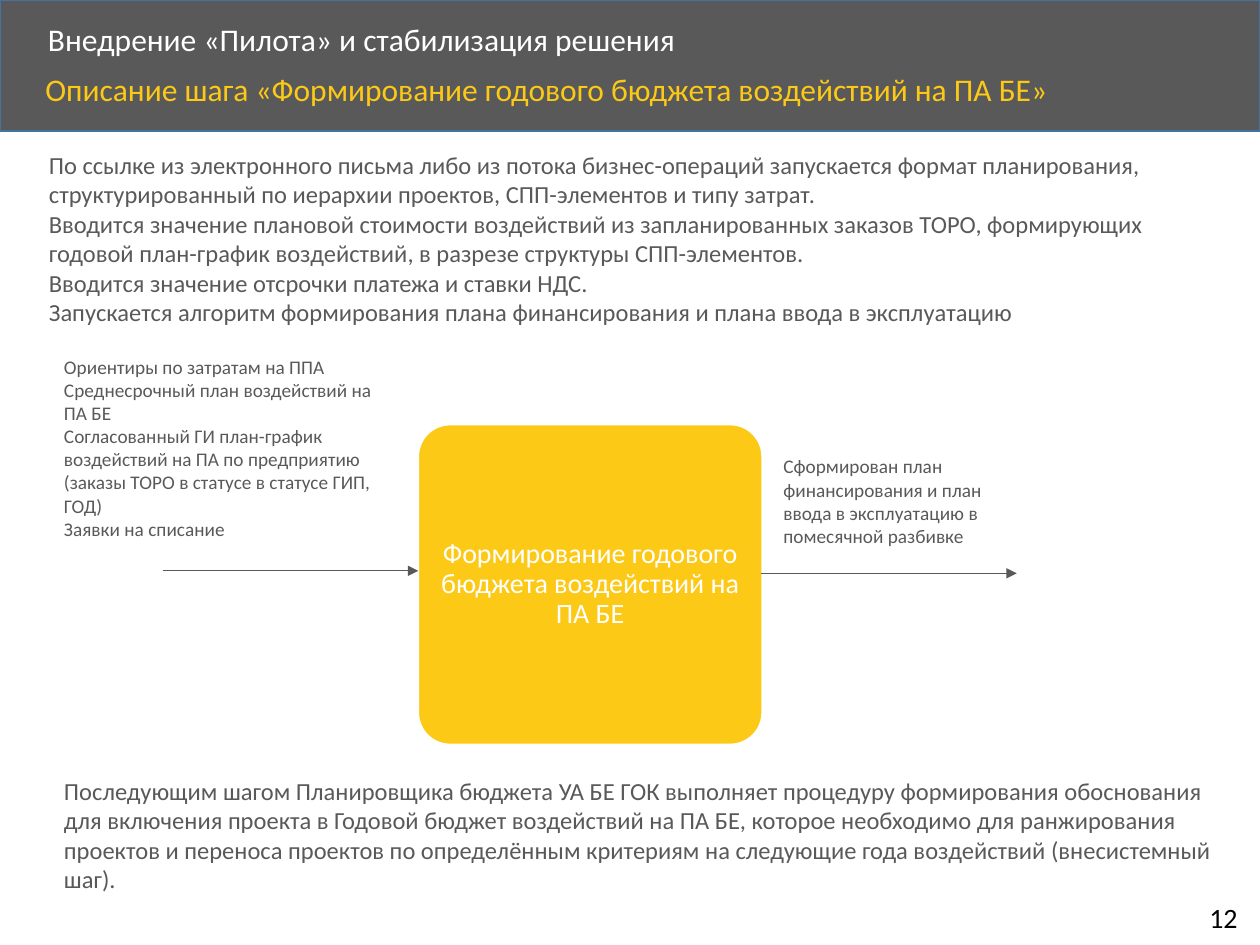
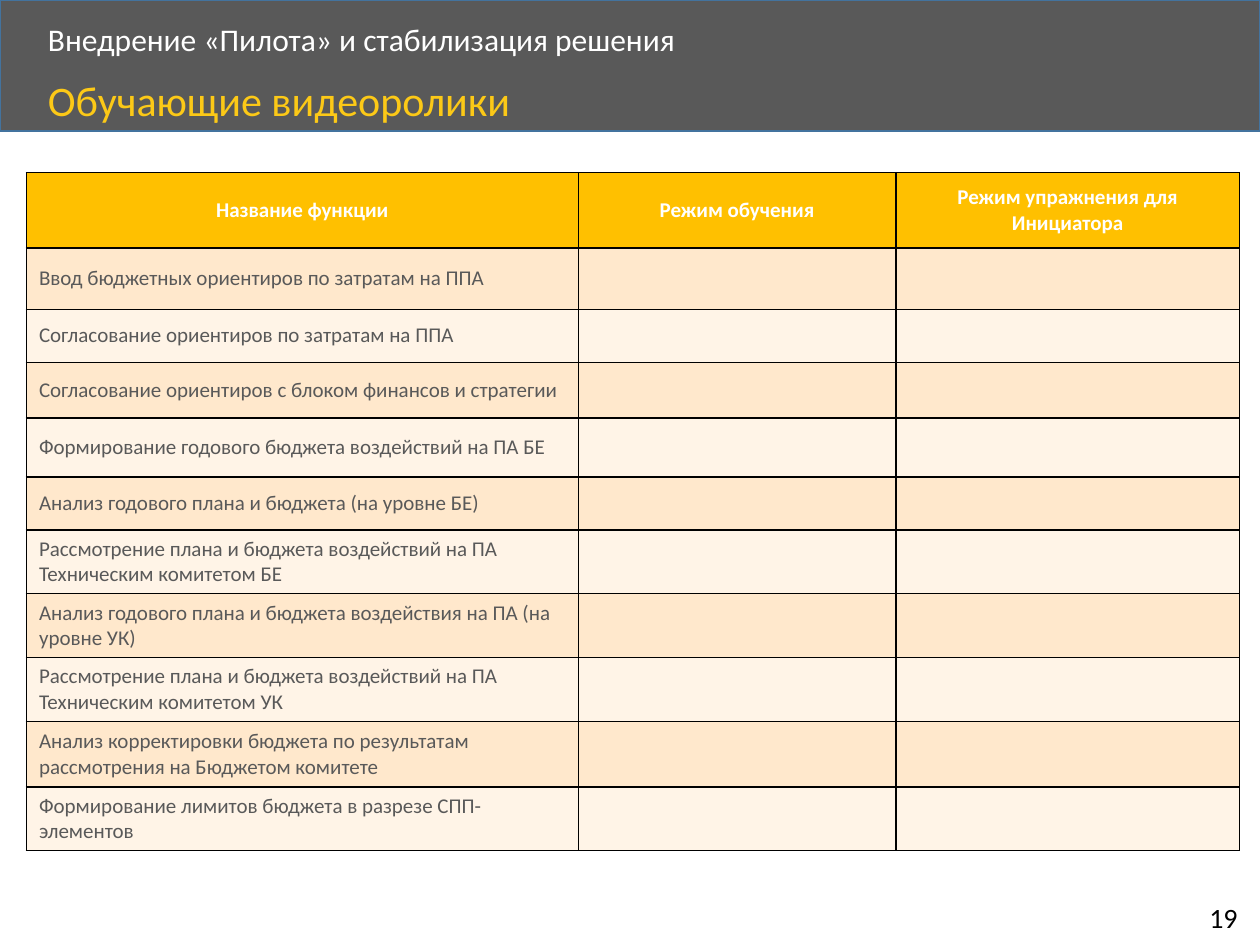
"""Build two slides on the annual budget step and the training videos."""
import pptx
import pptx.util
import pptx.dml.color
import pptx.enum.shapes
import pptx.enum.text
import pptx.oxml.ns
from lxml import etree

Pt = pptx.util.Pt
RGB = pptx.dml.color.RGBColor
SHAPE = pptx.enum.shapes.MSO_SHAPE
ALIGN = pptx.enum.text.PP_ALIGN
ANCHOR = pptx.enum.text.MSO_ANCHOR
FIT = pptx.enum.text.MSO_AUTO_SIZE
qn = pptx.oxml.ns.qn

GREY = RGB(0x59, 0x59, 0x59)
BLUE = RGB(0x43, 0x73, 0x9E)
YELLOW = RGB(0xFC, 0xC9, 0x17)
AMBER = RGB(0xFF, 0xC0, 0x00)
PEACH = RGB(0xFF, 0xE8, 0xCC)
CREAM = RGB(0xFF, 0xF4, 0xE7)
WHITE = RGB(0xFF, 0xFF, 0xFF)
BLACK = RGB(0, 0, 0)


def write(tf, text, size=14, color=GREY, bold=False, align=ALIGN.LEFT,
          spacing=1.0, anchor=ANCHOR.TOP, wrap=True):
    """Fill a text frame, one paragraph for each line of text."""
    tf.word_wrap = wrap
    tf.auto_size = FIT.NONE
    tf.vertical_anchor = anchor
    for i, line in enumerate(text.splitlines()):
        p = tf.paragraphs[0] if i == 0 else tf.add_paragraph()
        pPr = p._p.get_or_add_pPr()
        pPr.set("marL", "0")
        pPr.set("indent", "0")
        etree.SubElement(pPr, qn("a:buNone"))
        p.alignment = align
        p.line_spacing = spacing
        p.space_before = Pt(0)
        r = p.add_run()
        r.text = line
        r.font.name = "Calibri"
        r.font.size = Pt(size)
        r.font.bold = bold
        r.font.color.rgb = color


def place(sp, left, top, width, height):
    """Move and size a shape, in points."""
    sp.left, sp.top, sp.width, sp.height = Pt(left), Pt(top), Pt(width), Pt(height)


prs = pptx.Presentation()
prs.slide_width, prs.slide_height = Pt(720), Pt(540)

headings = [
    ("Описание шага «Формирование годового бюджета воздействий на ПА БЕ»", 18, 18.7, 38.9, "12"),
    ("Обучающие видеоролики", 24, 20.2, 42.5, "19"),
]
for heading, size, left, top, number in headings:
    slide = prs.slides.add_slide(prs.slide_layouts[1])
    band = slide.shapes.add_shape(SHAPE.RECTANGLE, 0, 0, Pt(720), Pt(74.9))
    band.shadow.inherit = False
    band.fill.solid()
    band.fill.fore_color.rgb = GREY
    band.line.color.rgb = BLUE
    band.line.width = Pt(1)
    slide.shapes._spTree.insert(2, band._element)
    place(slide.shapes.title, 20.2, 10.1, 581, 27.4)
    write(slide.shapes.title.text_frame, "Внедрение «Пилота» и стабилизация решения",
          size=18, color=WHITE, spacing=0.9, anchor=ANCHOR.MIDDLE)
    body = slide.placeholders[1]
    place(body, left, top, 624.2, 32.4)
    write(body.text_frame, heading, size=size, color=YELLOW, spacing=0.9)
    sp = slide.shapes.add_textbox(Pt(684), Pt(511.2), Pt(33.1), Pt(26.6))
    write(sp.text_frame, number, size=16, color=BLACK, wrap=False)

step_slide, video_slide = prs.slides

step = step_slide.shapes.add_shape(SHAPE.ROUNDED_RECTANGLE, Pt(239), Pt(242.6), Pt(196.6), Pt(182.9))
step.adjustments[0] = 0.1
step.shadow.inherit = False
step.fill.solid()
step.fill.fore_color.rgb = YELLOW
step.line.color.rgb = WHITE
step.line.width = Pt(1)
tf = step.text_frame
tf.margin_left = tf.margin_right = tf.margin_top = tf.margin_bottom = Pt(5)
write(tf, "Формирование годового бюджета воздействий на ПА БЕ", size=16, color=WHITE,
      align=ALIGN.CENTER, spacing=0.9, anchor=ANCHOR.MIDDLE)

for left, y in [(92.9, 326.2), (434.9, 327.6)]:
    arrow = step_slide.shapes.add_connector(
        pptx.enum.shapes.MSO_CONNECTOR.STRAIGHT, Pt(left), Pt(y), Pt(left + 146.1), Pt(y))
    arrow.line.color.rgb = GREY
    arrow.line.width = Pt(0.5)
    etree.SubElement(arrow.line._get_or_add_ln(), qn("a:tailEnd"), type="triangle")
    etree.SubElement(arrow._element.spPr, qn("a:effectLst"))

notes = [
    (440.6, 256.3, 144, 60.5, 11,
     "Сформирован план финансирования и план ввода в эксплуатацию в помесячной разбивке"),
    (29.5, 199.4, 203.8, 113.8, 11, """Ориентиры по затратам на ППА
Среднесрочный план воздействий на ПА БЕ
Согласованный ГИ план-график воздействий на ПА по предприятию (заказы ТОРО в статусе в статусе ГИП, ГОД)
Заявки на списание"""),
    (20.9, 82.1, 681.1, 108.7, 14, """По ссылке из электронного письма либо из потока бизнес-операций запускается формат планирования, структурированный по иерархии проектов, СПП-элементов и типу затрат.
Вводится значение плановой стоимости воздействий из запланированных заказов ТОРО, формирующих годовой план-график воздействий, в разрезе структуры СПП-элементов.
Вводится значение отсрочки платежа и ставки НДС.
Запускается алгоритм формирования плана финансирования и плана ввода в эксплуатацию"""),
    (29.5, 439.9, 681.1, 74.9, 14,
     "Последующим шагом Планировщика бюджета УА БЕ ГОК выполняет процедуру формирования "
     "обоснования для включения проекта в Годовой бюджет воздействий на ПА БЕ, которое "
     "необходимо для ранжирования проектов и переноса проектов по определённым критериям "
     "на следующие года воздействий (внесистемный шаг)."),
]
for left, top, width, height, size, text in notes:
    sp = step_slide.shapes.add_textbox(Pt(left), Pt(top), Pt(width), Pt(height))
    write(sp.text_frame, text, size=size)

header = ["Название функции", "Режим обучения", "Режим упражнения для Инициатора"]
functions = [
    ("Ввод бюджетных ориентиров по затратам на ППА", 35),
    ("Согласование ориентиров по затратам на ППА", 30.3),
    ("Согласование ориентиров с блоком финансов и стратегии", 31.7),
    ("Формирование годового бюджета воздействий на ПА БЕ", 33.8),
    ("Анализ годового плана и бюджета (на уровне БЕ)", 30.3),
    ("Рассмотрение плана и бюджета воздействий на ПА Техническим комитетом БЕ", 36.5),
    ("Анализ годового плана и бюджета воздействия на ПА (на уровне УК)", 36.5),
    ("Рассмотрение плана и бюджета воздействий на ПА Техническим комитетом УК", 36.5),
    ("Анализ корректировки бюджета по результатам рассмотрения на Бюджетом комитете", 37.4),
    ("Формирование лимитов бюджета в разрезе СПП-элементов", 36.5),
]
rows = [(header, 43.2)] + [([name, "", ""], height) for name, height in functions]
table = video_slide.shapes.add_table(
    len(rows), len(header), Pt(15.1), Pt(98.6), Pt(693.2), Pt(sum(h for _, h in rows))).table
for column, width in zip(table.columns, [315.4, 181.4, 196.4]):
    column.width = Pt(width)
for i, (texts, height) in enumerate(rows):
    table.rows[i].height = Pt(height)
    for j, text in enumerate(texts):
        cell = table.cell(i, j)
        cell.fill.solid()
        cell.fill.fore_color.rgb = AMBER if i == 0 else PEACH if i % 2 else CREAM
        cell.vertical_anchor = ANCHOR.MIDDLE
        tcPr = cell._tc.get_or_add_tcPr()
        for k, side in enumerate(["a:lnL", "a:lnR", "a:lnT", "a:lnB"]):
            ln = etree.Element(qn(side), w=str(Pt(1)))
            fill = etree.SubElement(ln, qn("a:solidFill"))
            etree.SubElement(fill, qn("a:srgbClr"), val=str(BLACK))
            tcPr.insert(k, ln)
        if text:
            p = cell.text_frame.paragraphs[0]
            p.alignment = ALIGN.LEFT if i else ALIGN.CENTER
            r = p.add_run()
            r.text = text
            r.font.name = "Calibri"
            r.font.size = Pt(12)
            r.font.bold = i == 0
            r.font.color.rgb = GREY if i else WHITE

prs.save("out.pptx")
